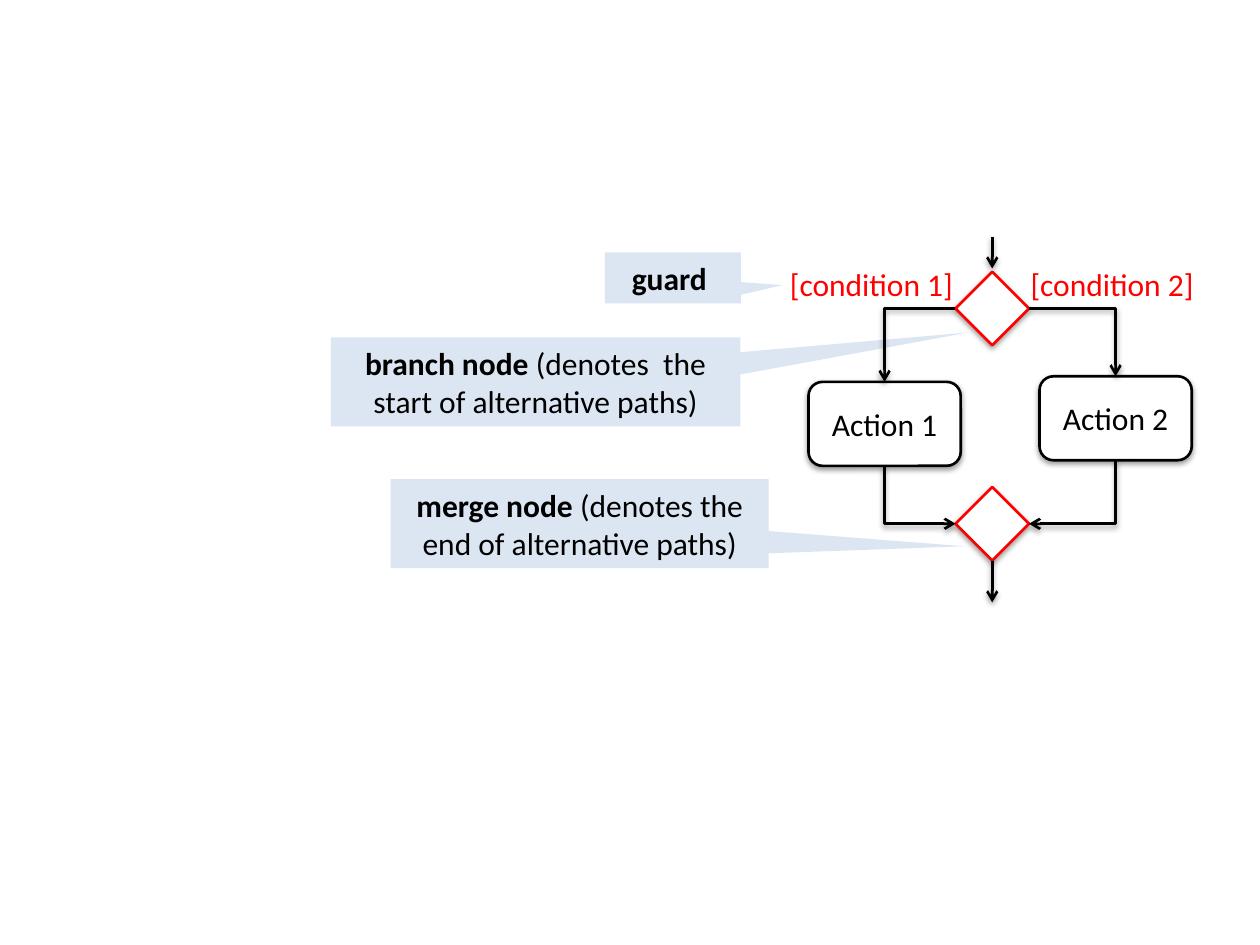
"""Build a slide that explains branch and merge nodes in an activity diagram."""
from dataclasses import dataclass

from lxml.etree import SubElement
from pptx import Presentation
from pptx.dml.color import RGBColor
from pptx.enum.shapes import MSO_CONNECTOR as Connector, MSO_SHAPE as Shape
from pptx.enum.text import MSO_ANCHOR as Anchor, MSO_AUTO_SIZE as AutoSize, PP_ALIGN as Align
from pptx.oxml.ns import qn
from pptx.util import Pt


@dataclass(frozen=True)
class Theme:
    font: str = "Calibri"
    size: float = 18
    line: float = 1.5
    black: RGBColor = RGBColor(0, 0, 0)
    white: RGBColor = RGBColor(255, 255, 255)
    red: RGBColor = RGBColor(255, 0, 0)
    pale_blue: RGBColor = RGBColor(0xDC, 0xE6, 0xF2)


THEME = Theme()
FLOW_X, BRANCH_Y, MERGE_Y = 567, 176.3, 299.3
NODE_SIZE, ACTION_WIDTH, ACTION_HEIGHT = 42, 87, 48
ENTRY_SPAN = (135.4, 153.4)
EXIT_Y = 344.2

CALLOUTS = [
    ((189, 192.8, 234, 50.9), (1.058, -0.556),
     [("branch node ", True), ("(denotes  the start of alternative paths)", False)]),
    ((223.3, 273.8, 216, 50.9), (1.018, 0.254),
     [("merge node ", True), ("(denotes the end of alternative paths)", False)]),
    ((345.6, 144.2, 77.8, 29.1), (0.804, 0.144), [("guard ", True)]),
]
ACTIONS = [("Action 1", 505.5, 218.2), ("Action 2", 637.5, 215)]
GUARDS = [
    ("[condition 1]", (437.8, 147.8, 113.8, 29.1), Align.RIGHT),
    ("[condition 2]", (581.8, 147.8, 108, 29.1), Align.LEFT),
]


def write(shape, runs, color, align, anchor):
    frame = shape.text_frame
    frame.word_wrap = True
    frame.vertical_anchor = anchor
    paragraph = frame.paragraphs[0]
    paragraph.alignment = align
    for text, bold in runs:
        run = paragraph.add_run()
        run.text = text
        font = run.font
        font.name, font.size, font.bold = THEME.font, Pt(THEME.size), bold
        font.color.rgb = color


def add_shadow(shape):
    properties = shape._element.spPr
    for old in properties.findall(qn("a:effectLst")):
        properties.remove(old)
    effects = SubElement(properties, qn("a:effectLst"))
    shadow = SubElement(effects, qn("a:outerShdw"), blurRad="40000", dist="20000",
                        dir="5400000", rotWithShape="0")
    color = SubElement(shadow, qn("a:srgbClr"), val=str(THEME.black))
    SubElement(color, qn("a:alpha"), val="38000")


def add_box(shapes, kind, box, fill, line=None):
    shape = shapes.add_shape(kind, *map(Pt, box))
    shape.shadow.inherit = False
    shape.fill.solid()
    shape.fill.fore_color.rgb = fill
    if line is None:
        shape.line.fill.background()
    else:
        shape.line.color.rgb = line
        shape.line.width = Pt(THEME.line)
        add_shadow(shape)
    return shape


def add_node(shapes, center_y):
    half = NODE_SIZE / 2
    box = (FLOW_X - half, center_y - half, NODE_SIZE, NODE_SIZE)
    return add_box(shapes, Shape.FLOWCHART_DECISION, box, THEME.white, THEME.red)


def add_arrow(shapes, start, end, kind=Connector.STRAIGHT):
    arrow = shapes.add_connector(kind, *map(Pt, (*start, *end)))
    arrow.line.color.rgb = THEME.black
    arrow.line.width = Pt(THEME.line)
    SubElement(arrow.line._get_or_add_ln(), qn("a:tailEnd"), type="arrow")
    add_shadow(arrow)
    return arrow


def add_corner_arrow(shapes, start, end):
    arrow = add_arrow(shapes, start, end, Connector.ELBOW)
    arrow._element.spPr.find(qn("a:prstGeom")).set("prst", "bentConnector2")
    return arrow


def add_down_then_across_arrow(shapes, start, end):
    (x1, y1), (x2, y2) = start, end
    center_x, center_y = (x1 + x2) / 2, (y1 + y2) / 2
    goes_right = x2 > x1
    half_x = (y2 - y1) / 2 * (1 if goes_right else -1)
    half_y = abs(x2 - x1) / 2
    arrow = add_corner_arrow(shapes, (center_x + half_x, center_y - half_y),
                             (center_x - half_x, center_y + half_y))
    degrees = 270 if goes_right else 90
    arrow._element.spPr.find(qn("a:xfrm")).set("rot", str(degrees * 60000))


def main():
    presentation = Presentation()
    presentation.slide_width, presentation.slide_height = Pt(720), Pt(540)
    shapes = presentation.slides.add_slide(presentation.slide_layouts[6]).shapes

    for box, pointer, runs in CALLOUTS:
        callout = add_box(shapes, Shape.RECTANGULAR_CALLOUT, box, THEME.pale_blue)
        callout.adjustments[0], callout.adjustments[1] = pointer
        write(callout, runs, THEME.black, Align.CENTER, Anchor.MIDDLE)
        callout.text_frame.auto_size = AutoSize.SHAPE_TO_FIT_TEXT

    add_node(shapes, BRANCH_Y)
    merge = add_node(shapes, MERGE_Y)

    for name, center_x, top in ACTIONS:
        box = (center_x - ACTION_WIDTH / 2, top, ACTION_WIDTH, ACTION_HEIGHT)
        action = add_box(shapes, Shape.ROUNDED_RECTANGLE, box, THEME.white, THEME.black)
        write(action, [(name, False)], THEME.black, Align.CENTER, Anchor.MIDDLE)
        side = NODE_SIZE / 2 if center_x > FLOW_X else -NODE_SIZE / 2
        add_corner_arrow(shapes, (FLOW_X + side, BRANCH_Y), (center_x, top))
        add_down_then_across_arrow(shapes, (center_x, top + ACTION_HEIGHT),
                                   (FLOW_X + side, MERGE_Y))

    for text, box, align in GUARDS:
        label = shapes.add_textbox(*map(Pt, box))
        write(label, [(text, False)], THEME.red, align, Anchor.TOP)
        label.text_frame.auto_size = AutoSize.SHAPE_TO_FIT_TEXT

    entry_top, entry_bottom = ENTRY_SPAN
    add_arrow(shapes, (FLOW_X, entry_top), (FLOW_X, entry_bottom))
    leaving = add_arrow(shapes, (FLOW_X, MERGE_Y + NODE_SIZE / 2), (FLOW_X, EXIT_Y))
    leaving.begin_connect(merge, 2)

    presentation.save("out.pptx")


if __name__ == "__main__":
    main()
